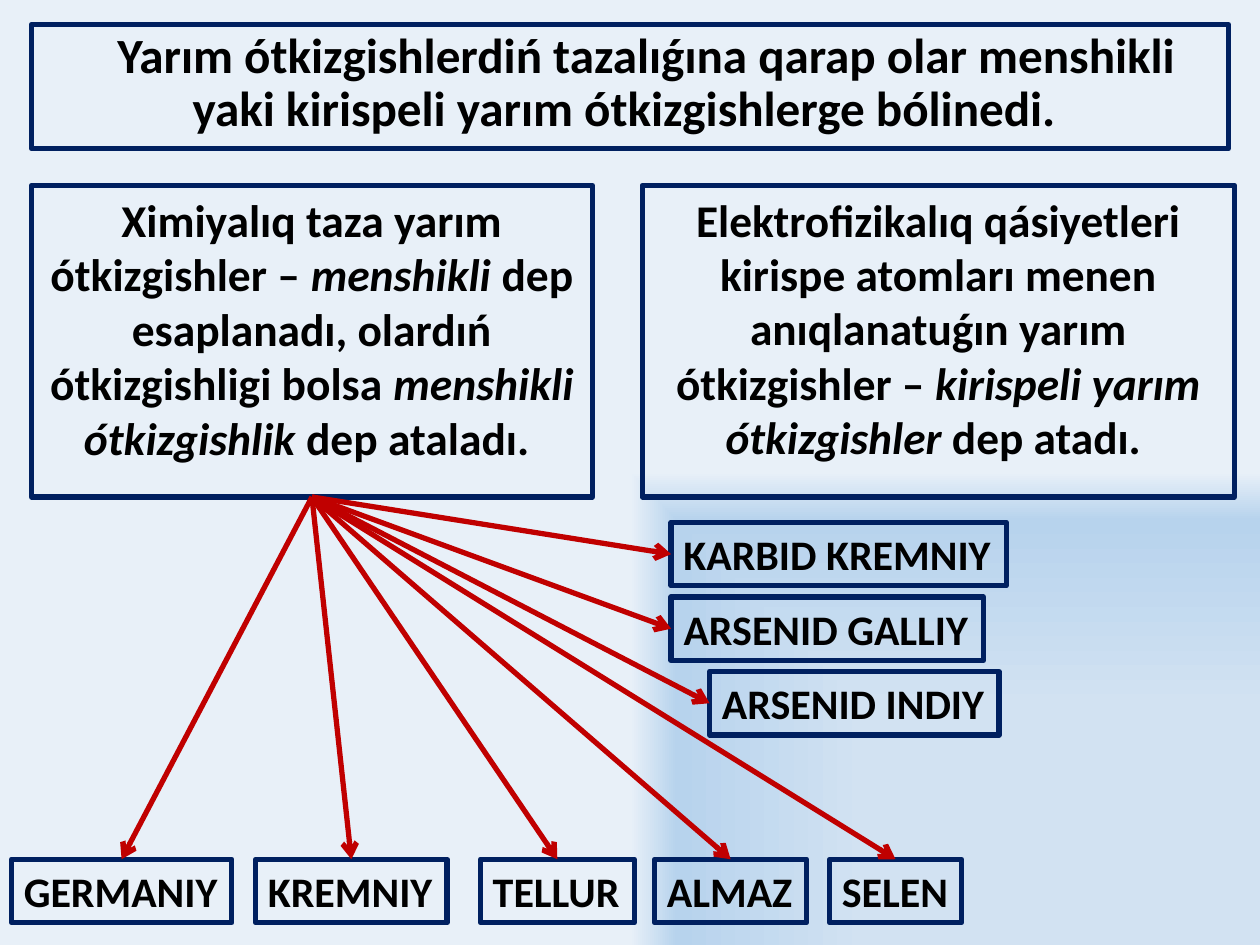
from lxml.etree import SubElement
from pptx import Presentation
from pptx.dml.color import RGBColor
from pptx.enum.shapes import MSO_CONNECTOR
from pptx.enum.text import MSO_AUTO_SIZE, PP_ALIGN
from pptx.oxml import parse_xml
from pptx.oxml.ns import nsdecls, qn
from pptx.util import Pt

NAVY = RGBColor(0x00, 0x20, 0x60)
RED = RGBColor(0xC0, 0x00, 0x00)
BLACK = RGBColor(0x00, 0x00, 0x00)
BACKGROUND_STOPS = [
    (50, RGBColor(0xD2, 0xE2, 0xF2)),
    (90, RGBColor(0xB7, 0xD3, 0xED)),
    (100, RGBColor(0xE8, 0xF0, 0xF8)),
]
TOP, LEFT, BOTTOM = 0, 1, 2

prs = Presentation()
prs.slide_width, prs.slide_height = Pt(720), Pt(540)
slide = prs.slides.add_slide(prs.slide_layouts[6])


def add_framed_text(left, top, width, height, size, runs):
    """Add a navy frame with bold text; runs are (text, italic) pairs."""
    frame = slide.shapes.add_textbox(Pt(left), Pt(top), Pt(width), Pt(height))
    frame.line.color.rgb = NAVY
    frame.line.width = Pt(3)
    frame.text_frame.word_wrap = True
    paragraph = frame.text_frame.paragraphs[0]
    for text, italic in runs:
        run = paragraph.add_run()
        run.text = text
        run.font.name = "Calibri"
        run.font.size = Pt(size)
        run.font.bold = True
        run.font.italic = italic
        run.font.color.rgb = BLACK
    return frame


# Background: gradient spreading from the lower right corner
slide.background.fill.gradient()
old_gradient = next(slide.element.iter(qn("a:gradFill")))
stops = "".join(
    f'<a:gs pos="{position * 1000}"><a:srgbClr val="{color}"/></a:gs>'
    for position, color in BACKGROUND_STOPS
)
gradient = parse_xml(
    f'<a:gradFill {nsdecls("a")} rotWithShape="1"><a:gsLst>{stops}</a:gsLst>'
    '<a:path path="rect"><a:fillToRect l="100000" t="100000"/></a:path></a:gradFill>'
)
old_gradient.getparent().replace(old_gradient, gradient)

# Heading
heading = add_framed_text(18, 14, 684, 71, 28.1, [
    ("Yarım ótkizgishlerdiń tazalıǵına qarap olar menshikli "
     "yaki kirispeli yarım ótkizgishlerge bólinedi. ", False),
])
heading_paragraph = heading.text_frame.paragraphs[0]
heading_paragraph.alignment = PP_ALIGN.CENTER
heading_paragraph.line_spacing = 0.9
heading_paragraph._p.get_or_add_pPr().set("indent", str(Pt(19)))

# The two kinds of semiconductor
pure = add_framed_text(18, 106, 320.5, 178, 26, [
    ("Ximiyalıq taza yarım ótkizgishler – ", False),
    ("menshikli ", True),
    ("dep esaplanadı, olardıń ótkizgishligi bolsa ", False),
    ("menshikli ótkizgishlik ", True),
    ("dep ataladı. ", False),
])
doped = add_framed_text(367, 106, 338.5, 178, 25.9, [
    ("Elektrofizikalıq qásiyetleri kirispe atomları menen "
     "anıqlanatuǵın yarım ótkizgishler – ", False),
    ("kirispeli yarım ótkizgishler ", True),
    ("dep atadı. ", False),
])
for kind in (pure, doped):
    kind.text_frame.paragraphs[0].alignment = PP_ALIGN.CENTER

# Materials: name, left, top, width, side where the arrow arrives
ELEMENT_TOP, COMPOUND_TOP, COMPOUND_STEP = 491, 298.5, 42.6
materials = [
    ("GERMANIY", 6.5, ELEMENT_TOP, 126, TOP),
    ("KREMNIY", 146, ELEMENT_TOP, 109.5, TOP),
    ("TELLUR", 274.5, ELEMENT_TOP, 88, TOP),
    ("ALMAZ", 374, ELEMENT_TOP, 87, TOP),
    ("SELEN", 474, ELEMENT_TOP, 75.5, TOP),
    ("KARBID KREMNIY", 383.5, COMPOUND_TOP, 191.5, LEFT),
    ("ARSENID GALLIY", 383.5, COMPOUND_TOP + COMPOUND_STEP, 178.5, LEFT),
    ("ARSENID INDIY", 405.5, COMPOUND_TOP + 2 * COMPOUND_STEP, 165.5, LEFT),
]
for name, left, top, width, side in materials:
    material = add_framed_text(left, top, width, 36.3, 24, [(name, False)])
    material.text_frame.word_wrap = False
    material.text_frame.auto_size = MSO_AUTO_SIZE.SHAPE_TO_FIT_TEXT

    # Arrow from the pure semiconductors to the material
    arrow = slide.shapes.add_connector(MSO_CONNECTOR.STRAIGHT, 0, 0, 0, 0)
    arrow.begin_connect(pure, BOTTOM)
    arrow.end_connect(material, side)
    arrow.line.color.rgb = RED
    arrow.line.width = Pt(3)
    SubElement(arrow.line._get_or_add_ln(), qn("a:tailEnd"), type="arrow")
    SubElement(arrow._element.spPr, qn("a:effectLst"))

prs.save("out.pptx")
